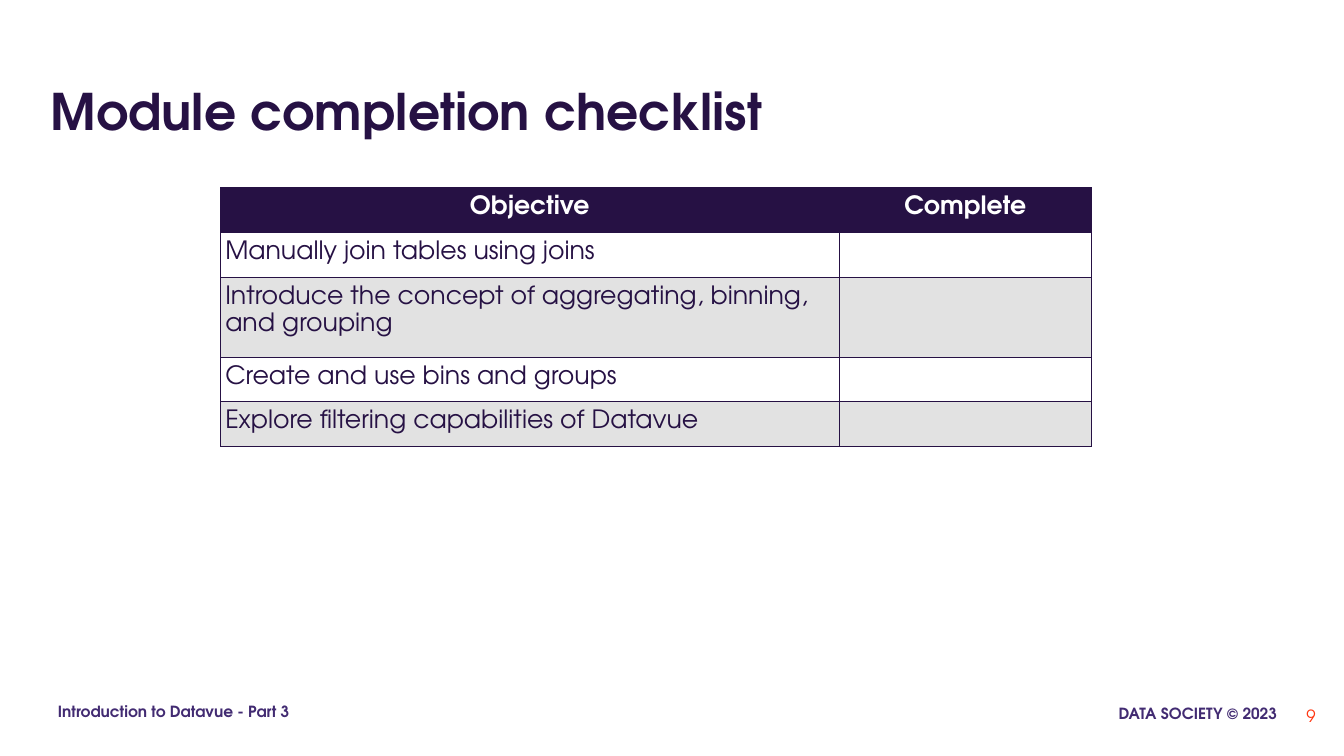
from dataclasses import dataclass

from lxml import etree
from pptx import Presentation
from pptx.dml.color import RGBColor
from pptx.enum import text
from pptx.oxml import ns
from pptx.util import Inches, Pt


@dataclass(frozen=True)
class Theme:
    font: str = "TeX Gyre Adventor"
    ink: str = "261144"
    footer: str = "422B72"
    accent: str = "FF350F"
    white: str = "FFFFFF"
    band: str = "E2E2E2"
    title_size: int = 72
    table_size: int = 36
    footer_size: int = 22
    number_size: int = 24
    border: float = 0.75


THEME = Theme()
WIDTH, HEIGHT = 26.67, 15
LEFT, CENTER, RIGHT = (text.PP_ALIGN.LEFT, text.PP_ALIGN.CENTER,
                       text.PP_ALIGN.RIGHT)
TOP, MIDDLE, BOTTOM = (text.MSO_ANCHOR.TOP, text.MSO_ANCHOR.MIDDLE,
                       text.MSO_ANCHOR.BOTTOM)

# Table grid
TABLE_LEFT, TABLE_TOP = 4.37, 3.72
COLUMNS = (12.28, 5.01)
LINE_ROW, WRAPPED_ROW = 0.74, 1.29
HEADINGS = ("Objective", "Complete")
OBJECTIVES = (
    ("Manually join tables using joins", LINE_ROW),
    ("Introduce the concept of aggregating, binning, and grouping", WRAPPED_ROW),
    ("Create and use bins and groups", LINE_ROW),
    ("Explore filtering capabilities of Datavue", LINE_ROW),
)


def write(frame, words, size, color, bold=False, align=LEFT, spacing=None):
    para = frame.paragraphs[0]
    para.alignment = align
    if spacing:
        para.line_spacing = spacing
    span = para.add_run()
    span.text = words
    span.font.name = THEME.font
    span.font.size = Pt(size)
    span.font.bold = bold
    span.font.color.rgb = RGBColor.from_string(color)


def add_label(page, words, place, inset=(0.24, 0.24), anchor=TOP, **style):
    box = page.shapes.add_textbox(*map(Inches, place))
    frame = box.text_frame
    frame.word_wrap = True
    frame.vertical_anchor = anchor
    frame.margin_left = frame.margin_right = Inches(inset[0])
    frame.margin_top = frame.margin_bottom = Inches(inset[1])
    write(frame, words, **style)


def add_borders(cell):
    properties = cell._tc.get_or_add_tcPr()
    for position, side in enumerate(("lnL", "lnR", "lnT", "lnB")):
        line = etree.Element(ns.qn(f"a:{side}"), w=str(Pt(THEME.border)))
        fill = etree.SubElement(line, ns.qn("a:solidFill"))
        etree.SubElement(fill, ns.qn("a:srgbClr"), val=THEME.ink)
        properties.insert(position, line)


def fill_cell(cell, words, fill, **style):
    cell.margin_left = cell.margin_right = Inches(0.1)
    cell.margin_top = cell.margin_bottom = Inches(0.1)
    cell.fill.solid()
    cell.fill.fore_color.rgb = RGBColor.from_string(fill)
    add_borders(cell)
    if words:
        write(cell.text_frame, words, THEME.table_size, spacing=1.15, **style)


def add_checklist(page):
    heights = [LINE_ROW] + [height for _, height in OBJECTIVES]
    place = (TABLE_LEFT, TABLE_TOP, sum(COLUMNS), sum(heights))
    table = page.shapes.add_table(len(heights), len(COLUMNS),
                                  *map(Inches, place)).table
    for column, width in zip(table.columns, COLUMNS):
        column.width = Inches(width)
    for row, height in zip(table.rows, heights):
        row.height = Inches(height)

    # Heading row
    for index, heading in enumerate(HEADINGS):
        fill_cell(table.cell(0, index), heading, THEME.ink,
                  color=THEME.white, bold=True, align=CENTER)

    # Banded objectives, each with an empty box to tick
    for index, (objective, _) in enumerate(OBJECTIVES, start=1):
        fill = THEME.white if index % 2 else THEME.band
        fill_cell(table.cell(index, 0), objective, fill, color=THEME.ink)
        fill_cell(table.cell(index, 1), "", fill)


def main():
    deck = Presentation()
    deck.slide_width, deck.slide_height = Inches(WIDTH), Inches(HEIGHT)
    page = deck.slides.add_slide(deck.slide_layouts[6])

    # Footer
    footer = dict(size=THEME.footer_size, color=THEME.footer, bold=True)
    add_label(page, "DATA SOCIETY © 2023", (21.14, 13.78, 4.44, 0.85),
              align=RIGHT, **footer)
    add_label(page, "Introduction to Datavue - Part 3",
              (0.91, 13.74, 5.48, 0.85), **footer)

    # Title and checklist
    add_label(page, "Module completion checklist", (0.91, 1.17, 24.85, 1.67),
              inset=(0.1, 0.05), anchor=BOTTOM, size=THEME.title_size,
              color=THEME.ink, bold=True)
    add_checklist(page)

    # Page number
    add_label(page, "9", (24.71, 13.78, 1.6, 0.85), inset=(0.2, 0.2),
              anchor=MIDDLE, align=RIGHT, size=THEME.number_size,
              color=THEME.accent)

    deck.save("out.pptx")


if __name__ == "__main__":
    main()
